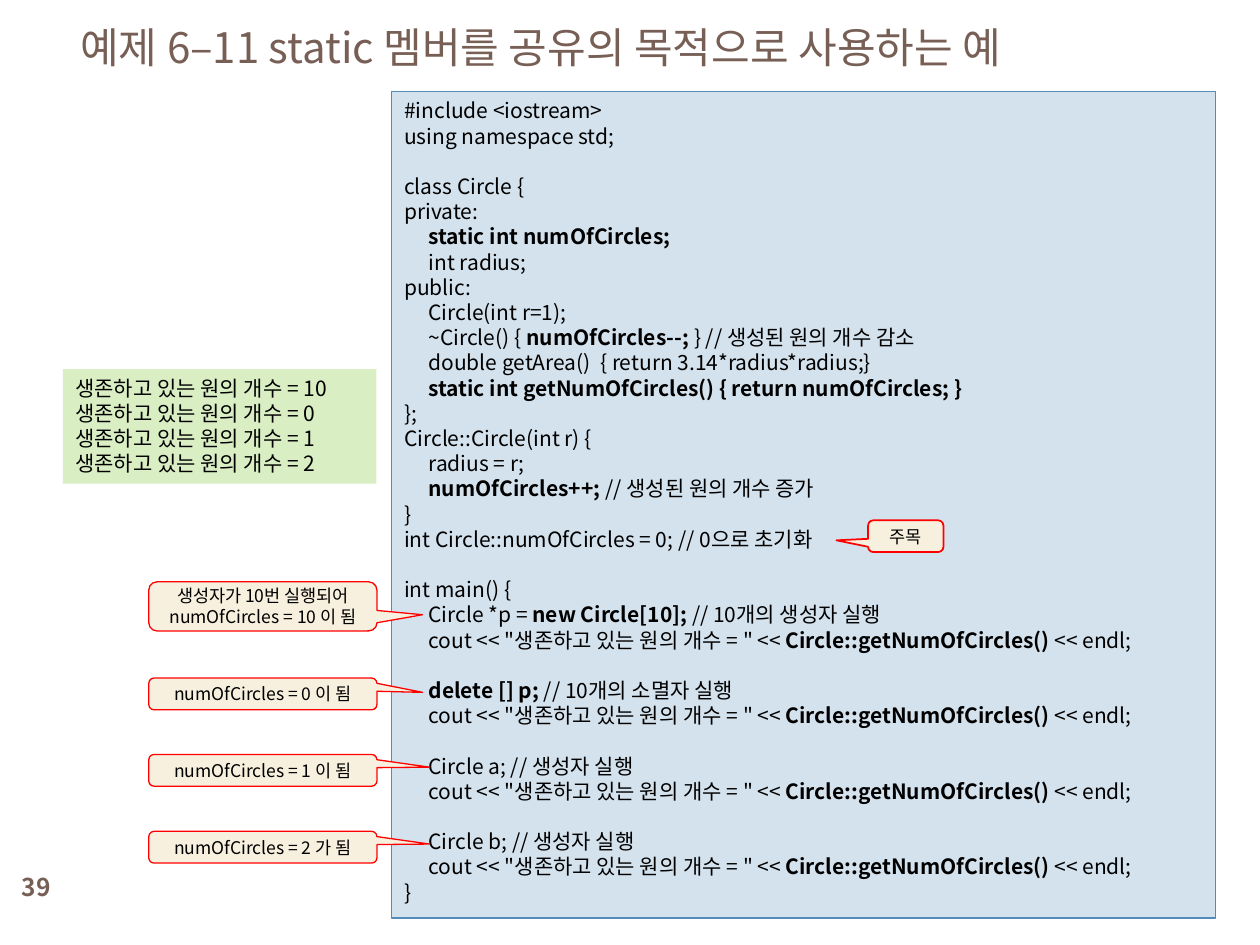
from pptx import Presentation
from pptx.dml.color import RGBColor
from pptx.enum.shapes import MSO_SHAPE
from pptx.enum.text import MSO_ANCHOR, PP_ALIGN
from pptx.oxml.ns import qn
from pptx.util import Cm, Pt
from lxml import etree

FONT = "Noto Sans CJK KR"
BROWN, BLACK, RED, CREAM = "775F55", "000000", "FF0000", "F7F0DE"


def rgb(value):
    return RGBColor.from_string(value)


def write(sp, lines, size, color=BLACK, align=PP_ALIGN.LEFT,
          anchor=MSO_ANCHOR.MIDDLE, tab=None):
    """Fill a shape with lines; text between | marks is bold."""
    tf = sp.text_frame
    tf.word_wrap = True
    tf.vertical_anchor = anchor
    for i, line in enumerate(lines):
        p = tf.add_paragraph() if i else tf.paragraphs[0]
        p.alignment = align
        if tab:
            tabs = etree.SubElement(p._p.get_or_add_pPr(), qn("a:tabLst"))
            etree.SubElement(tabs, qn("a:tab"), pos=str(tab), algn="l")
        p.line_spacing = Pt(size * 1.2)
        p.font.size = Pt(size)
        for j, part in enumerate(line.split("|")):
            if not part:
                continue
            r = p.add_run()
            r.text = part
            r.font.size = Pt(size)
            r.font.bold = j % 2 == 1
            r.font.name = FONT
            r.font.color.rgb = rgb(color)
            etree.SubElement(r._r.get_or_add_rPr(), qn("a:ea"), typeface=FONT)


prs = Presentation()
prs.slide_width, prs.slide_height = Cm(25.4), Cm(19.05)
s = prs.slides.add_slide(prs.slide_layouts[6])

# Page number and title
sp = s.shapes.add_textbox(Cm(0), Cm(17.35), Cm(1.47), Cm(1.07))
write(sp, ["|39|"], 14, BROWN, PP_ALIGN.CENTER)
sp = s.shapes.add_textbox(Cm(1.37), Cm(0), Cm(22.66), Cm(1.88))
write(sp, ["예제 6–11 static 멤버를 공유의 목적으로 사용하는 예"], 24, BROWN)

# Code listing
count_text = "생존하고 있는 원의 개수 = "
print_count = f'\tcout << "{count_text}" << |Circle::getNumOfCircles()| << endl;'
code = [
    "#include <iostream>",
    "using namespace std;",
    "",
    "class Circle {",
    "private:",
    "\t|static int numOfCircles;|",
    "\tint radius;",
    "public:",
    "\tCircle(int r=1);",
    "\t~Circle() { |numOfCircles--; |} // 생성된 원의 개수 감소",
    "\tdouble getArea()  { return 3.14*radius*radius;}",
    "\t|static int getNumOfCircles() { return numOfCircles; }|",
    "};",
    "Circle::Circle(int r) {",
    "\tradius = r;",
    "\t|numOfCircles++; |// 생성된 원의 개수 증가",
    "}",
    "int Circle::numOfCircles = 0; // 0으로 초기화",
    "",
    "int main() {",
    "\tCircle *p = |new Circle[10]; |// 10개의 생성자 실행",
    print_count,
    "",
    "\t|delete [] p; |// 10개의 소멸자 실행",
    print_count,
    "",
    "\tCircle a; // 생성자 실행",
    print_count,
    "",
    "\tCircle b; // 생성자 실행",
    print_count,
    "}",
]
output = [f"{count_text}{n}" for n in (10, 0, 1, 2)]

# Code panel and program output panel
panels = [
    (7.9, 1.85, 16.61, 16.66, "D4E2ED", "558BB8", code),
    (1.27, 7.44, 6.32, 2.31, "DAEEC4", None, output),
]
for x, y, w, h, fill, line, lines in panels:
    sp = s.shapes.add_shape(MSO_SHAPE.RECTANGLE, Cm(x), Cm(y), Cm(w), Cm(h))
    sp.shadow.inherit = False
    sp.fill.solid()
    sp.fill.fore_color.rgb = rgb(fill)
    if line:
        sp.line.color.rgb = rgb(line)
        sp.line.width = Pt(0.75)
    else:
        sp.line.fill.background()
    write(sp, lines, 12, anchor=MSO_ANCHOR.TOP, tab=Cm(0.49))

# Callouts: place, size, pointer tip, line width, text
callouts = [
    (17.5, 10.49, 1.52, 0.64, -0.92, 0.13, 1, ["주목"]),
    (3, 11.73, 4.6, 0.99, 0.7, 0.17, 0.75,
     ["생성자가 10번 실행되어", "numOfCircles = 10 이 됨"]),
    (3, 13.67, 4.6, 0.64, 0.7, -0.05, 0.75, ["numOfCircles = 0 이 됨"]),
    (3, 15.21, 4.6, 0.64, 0.73, -0.1, 0.75, ["numOfCircles = 1 이 됨"]),
    (3, 16.76, 4.6, 0.64, 0.73, -0.1, 0.75, ["numOfCircles = 2 가 됨"]),
]
for x, y, w, h, tip_x, tip_y, weight, lines in callouts:
    sp = s.shapes.add_shape(MSO_SHAPE.ROUNDED_RECTANGULAR_CALLOUT,
                            Cm(x), Cm(y), Cm(w), Cm(h))
    sp.adjustments[0] = tip_x
    sp.adjustments[1] = tip_y
    sp.shadow.inherit = False
    sp.fill.solid()
    sp.fill.fore_color.rgb = rgb(CREAM)
    sp.line.color.rgb = rgb(RED)
    sp.line.width = Pt(weight)
    write(sp, lines, 10, align=PP_ALIGN.CENTER)

prs.save("out.pptx")
